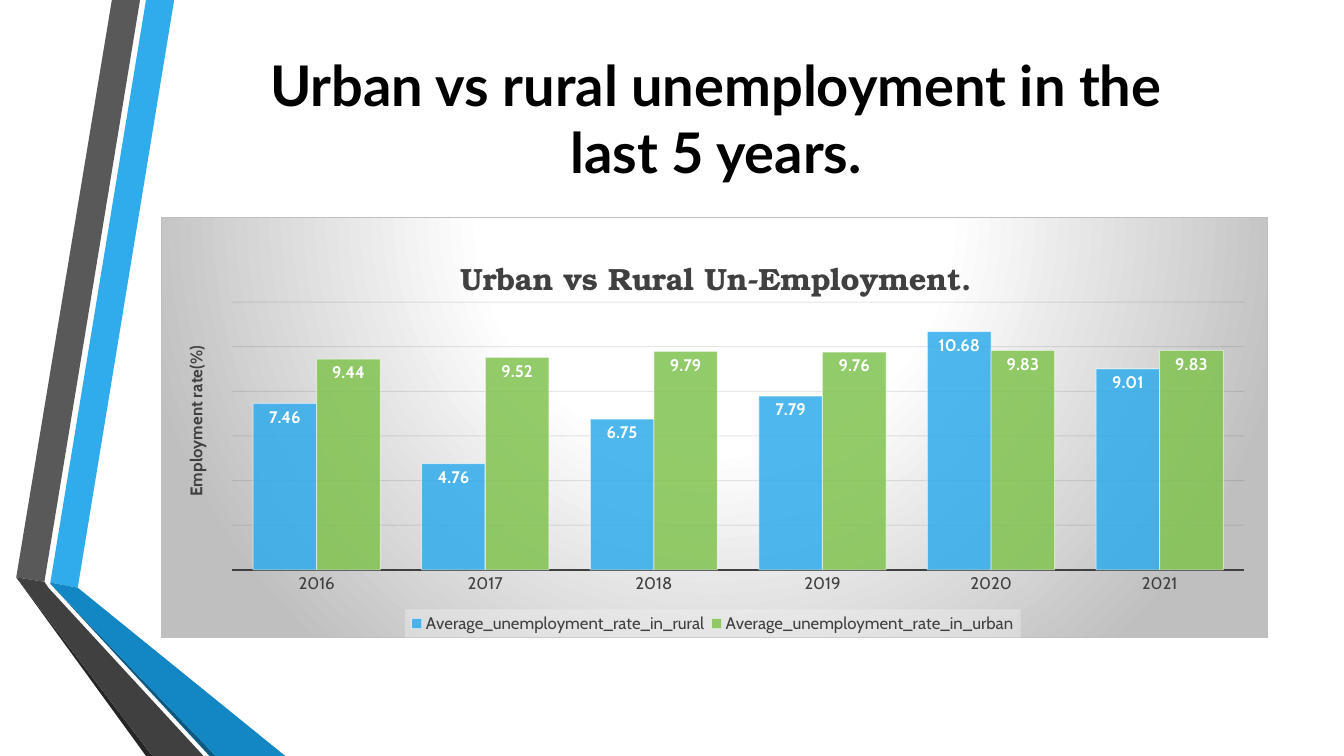
"""Builds a slide comparing urban and rural unemployment in a column chart."""
from dataclasses import dataclass

import pptx
import pptx.chart.data
import pptx.dml.color
import pptx.enum.chart
import pptx.enum.text
import pptx.oxml
import pptx.oxml.ns
import pptx.util

Cm = pptx.util.Cm
Pt = pptx.util.Pt
qn = pptx.oxml.ns.qn


@dataclass(frozen=True)
class Theme:
    """Colours, fonts and type sizes of the slide."""
    blue: str = "30ACEC"
    blue_mid: str = "1287C3"
    blue_dark: str = "0C5A82"
    green: str = "80C34F"
    grey: str = "595959"
    grey_dark: str = "404040"
    grey_deep: str = "262626"
    silver: str = "BFBFBF"
    pale: str = "F2F2F2"
    grid: str = "0D0D0D"
    black: str = "000000"
    white: str = "FFFFFF"
    heading_font: str = "Lato"
    chart_font: str = "Cabin"
    chart_title_font: str = "TeX Gyre Bonum"
    heading_size: int = 40
    chart_title_size: int = 22
    label_size: int = 12


THEME = Theme()

RIBBONS = [
    (THEME.blue, [(1.27, 14.68), (1.96, 14.81), (4.39, 0), (3.68, 0)]),
    (THEME.grey, [(3.53, 0), (2.82, 0), (0.41, 14.55), (1.12, 14.66)]),
    (THEME.grey_deep, [(0.41, 14.55), (3.68, 19.05), (3.84, 19.05)]),
    (THEME.blue_dark, [(1.27, 14.71), (5.28, 19.05), (5.44, 19.05)]),
    (THEME.blue_mid, [(1.27, 14.71), (5.44, 19.05), (7.19, 19.05),
                      (1.96, 14.81), (1.27, 14.68)]),
    (THEME.grey_dark, [(5.13, 19.05), (1.22, 14.81), (1.12, 14.66),
                       (0.41, 14.55), (3.84, 19.05)]),
]

YEARS = ["2016", "2017", "2018", "2019", "2020", "2021"]
RATES = [
    ("Average_unemployment_rate_in_rural", THEME.blue,
     [7.46, 4.76, 6.75, 7.79, 10.68, 9.01]),
    ("Average_unemployment_rate_in_urban", THEME.green,
     [9.44, 9.52, 9.79, 9.76, 9.83, 9.83]),
]


def rgb(colour):
    """Return a colour object for a hex string."""
    return pptx.dml.color.RGBColor.from_string(colour)


def style_font(font, name, size, colour, bold=False):
    """Set the face, size, colour and weight of a font."""
    font.name = name
    font.size = Pt(size)
    font.bold = bold
    font.color.rgb = rgb(colour)


def set_alpha(fill_xml, percent):
    """Make the solid colour found in an element partly transparent."""
    colour = fill_xml.find(".//" + qn("a:srgbClr"))
    pptx.oxml.ns.nsdecls("a")
    alpha = pptx.oxml.parse_xml(
        f'<a:alpha {pptx.oxml.ns.nsdecls("a")} val="{percent * 1000}"/>')
    colour.append(alpha)


def set_line(line, colour, width, opacity=100):
    """Set the colour, width and opacity of a line."""
    line.color.rgb = rgb(colour)
    line.width = Pt(width)
    if opacity < 100:
        set_alpha(line.color._xFill, opacity)


def place(parent, index, x, y, w=None, h=None, inner=False):
    """Fix a chart part at fractions of the chart area."""
    for old in parent.findall(qn("c:layout")):
        parent.remove(old)
    target = '<c:layoutTarget val="inner"/>' if inner else ""
    sizes = {"x": x, "y": y, "w": w, "h": h}
    modes = '<c:xMode val="edge"/><c:yMode val="edge"/>'
    values = "".join(f'<c:{k} val="{v}"/>' for k, v in sizes.items() if v is not None)
    parent.insert(index, pptx.oxml.parse_xml(
        f'<c:layout {pptx.oxml.ns.nsdecls("c")}><c:manualLayout>'
        f'{target}{modes}{values}</c:manualLayout></c:layout>'))


def add_backdrop(parent, content):
    """Give a chart part a fill and line, ahead of its text properties."""
    parent.find(qn("c:txPr")).addprevious(pptx.oxml.parse_xml(
        f'<c:spPr {pptx.oxml.ns.nsdecls("c", "a")}>{content}</c:spPr>'))


def solid(colour, percent=100):
    """Return the XML of a solid fill."""
    return (f'<a:solidFill><a:srgbClr val="{colour}">'
            f'<a:alpha val="{percent * 1000}"/></a:srgbClr></a:solidFill>')


def add_ribbon(shapes, colour, points):
    """Draw one filled ribbon outline."""
    corners = [(Cm(x), Cm(y)) for x, y in points]
    builder = shapes.build_freeform(*corners[0])
    builder.add_line_segments(corners[1:], close=True)
    sp = builder.convert_to_shape()
    sp.shadow.inherit = False
    sp.fill.solid()
    sp.fill.fore_color.rgb = rgb(colour)
    sp.line.fill.background()


def add_heading(s, text):
    """Add the centred slide heading."""
    tf = s.shapes.add_textbox(Cm(5.41), Cm(0.99), Cm(25.27), Cm(3.96)).text_frame
    tf.word_wrap = True
    tf.vertical_anchor = pptx.enum.text.MSO_ANCHOR.MIDDLE
    p = tf.paragraphs[0]
    p.alignment = pptx.enum.text.PP_ALIGN.CENTER
    r = p.add_run()
    r.text = text
    style_font(r.font, THEME.heading_font, THEME.heading_size, THEME.black, True)


def add_chart_title(owner, text, font, size, x, y):
    """Title a chart or an axis at a fixed place."""
    title = owner.chart_title if hasattr(owner, "chart_title") else owner.axis_title
    r = title.text_frame.paragraphs[0].add_run()
    r.text = text
    style_font(r.font, font, size, THEME.grey_dark, True)
    place(title._element, 1, x, y)


def style_series(series, colour):
    """Colour one series and label its columns."""
    series.format.fill.solid()
    series.format.fill.fore_color.rgb = rgb(colour)
    set_alpha(series.format.fill.fore_color._xFill, 85)
    set_line(series.format.line, THEME.white, 0.75, 50)
    labels = series.data_labels
    labels.show_value = True
    labels.position = pptx.enum.chart.XL_LABEL_POSITION.INSIDE_END
    style_font(labels.font, THEME.chart_font, THEME.label_size, THEME.white, True)


def style_axes(chart):
    """Format the year axis and the hidden rate axis."""
    none = pptx.enum.chart.XL_TICK_MARK.NONE
    years, rates = chart.category_axis, chart.value_axis
    years.major_tick_mark = years.minor_tick_mark = none
    style_font(years.tick_labels.font, THEME.chart_font, THEME.label_size, THEME.grey_dark)
    set_line(years.format.line, THEME.grey_dark, 1.5)
    rates.visible = False
    rates.minimum_scale, rates.maximum_scale, rates.major_unit = 0, 12, 2
    set_line(rates.major_gridlines.format.line, THEME.grid, 0.75, 10)
    add_chart_title(rates, "Employment rate(%)", THEME.chart_font,
                    THEME.label_size, 0.018, 0.3)


def add_legend(chart):
    """Add the legend strip along the bottom."""
    chart.has_legend = True
    legend = chart.legend
    legend.position = pptx.enum.chart.XL_LEGEND_POSITION.BOTTOM
    legend.include_in_layout = False
    style_font(legend.font, THEME.chart_font, THEME.label_size, THEME.grey_dark)
    place(legend._element, 1, 0.22, 0.933, 0.557, 0.067)
    add_backdrop(legend._element, solid(THEME.pale, 39))


def add_rate_chart(s):
    """Add the clustered column chart of unemployment rates."""
    data = pptx.chart.data.CategoryChartData()
    data.categories = YEARS
    for name, _, values in RATES:
        data.add_series(name, values)
    chart = s.shapes.add_chart(
        pptx.enum.chart.XL_CHART_TYPE.COLUMN_CLUSTERED,
        Cm(4.06), Cm(5.46), Cm(27.89), Cm(10.62), data).chart
    style_font(chart.font, THEME.chart_font, 10, THEME.black)
    plot = chart.plots[0]
    plot.gap_width, plot.overlap, plot.vary_by_categories = 65, 0, False
    for series, (_, colour, _) in zip(plot.series, RATES):
        style_series(series, colour)
    style_axes(chart)
    add_legend(chart)
    add_chart_title(chart, "Urban vs Rural Un-Employment.", THEME.chart_title_font,
                    THEME.chart_title_size, 0.265, 0.07)
    place(chart._chartSpace.chart.plotArea, 0, 0.064, 0.202, 0.915, 0.637, inner=True)
    stops = [(0, THEME.white), (39, THEME.white), (100, THEME.silver)]
    stop_xml = "".join(f'<a:gs pos="{pos * 1000}"><a:srgbClr val="{colour}"/></a:gs>'
                       for pos, colour in stops)
    add_backdrop(chart._chartSpace, (
        f'<a:gradFill><a:gsLst>{stop_xml}</a:gsLst><a:path path="circle">'
        '<a:fillToRect l="50000" t="-80000" r="50000" b="180000"/></a:path></a:gradFill>'
        f'<a:ln w="{Pt(0.75)}">{solid(THEME.silver)}</a:ln>'))


def main():
    """Build the slide and save it."""
    prs = pptx.Presentation()
    prs.slide_width, prs.slide_height = Cm(33.87), Cm(19.05)
    s = prs.slides.add_slide(prs.slide_layouts[6])
    ribbons = s.shapes.add_group_shape()
    for colour, points in RIBBONS:
        add_ribbon(ribbons.shapes, colour, points)
    add_heading(s, "Urban vs rural unemployment in the last 5 years.")
    add_rate_chart(s)
    prs.save("out.pptx")


if __name__ == "__main__":
    main()
